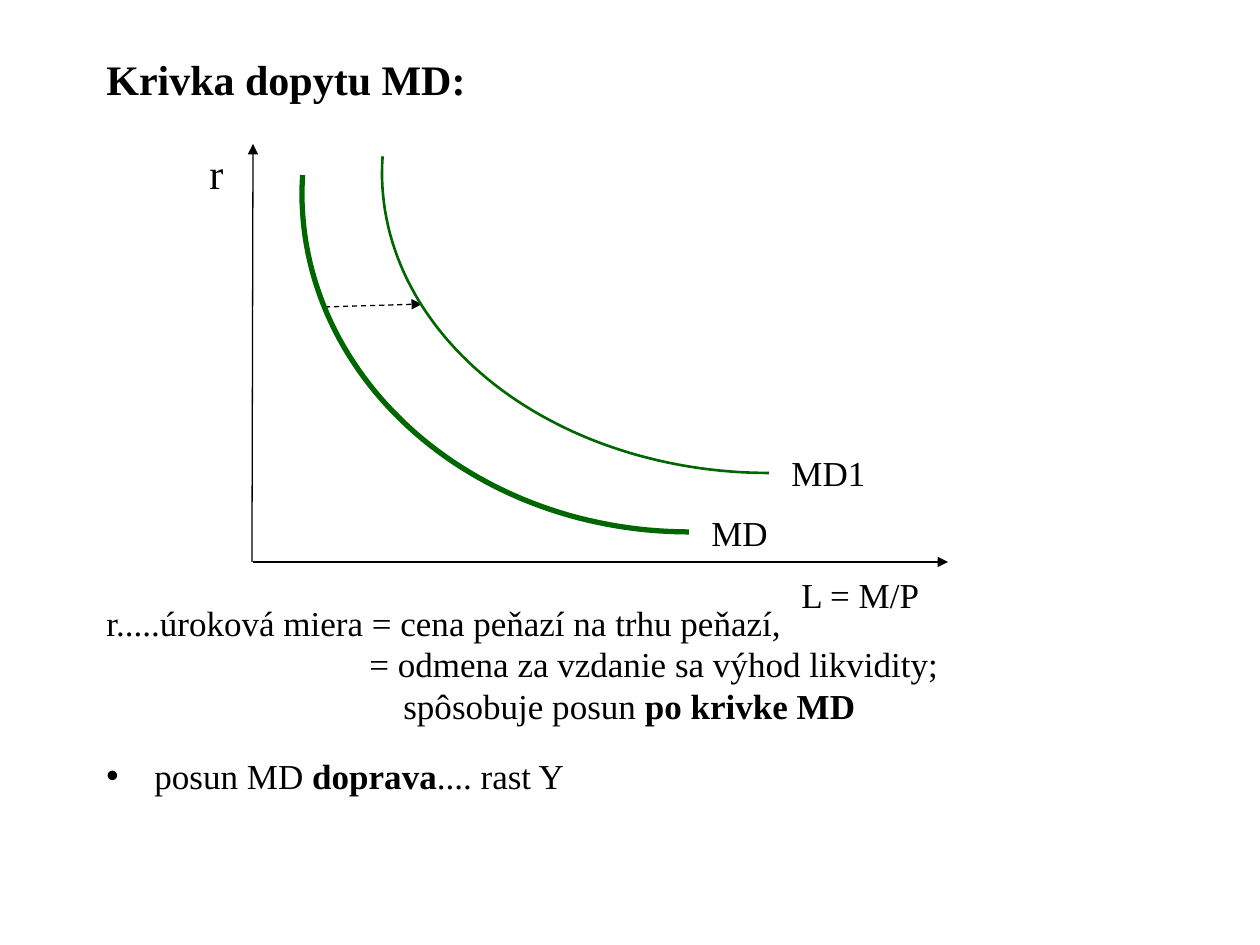
"""Build the slide with the money demand curve and its shift."""
from math import cos, radians, sin

from lxml.etree import SubElement
from pptx import Presentation
from pptx.dml.color import RGBColor
from pptx.enum.dml import MSO_LINE
from pptx.enum.shapes import MSO_CONNECTOR
from pptx.enum.text import MSO_ANCHOR
from pptx.oxml.ns import qn
from pptx.util import Pt

SCALE = 914400 // 126
FONT = "Times New Roman"
COLORS = {"ink": "000000", "curve": "006600"}


def px(n):
    return round(n * SCALE)


def paint(line, color, width):
    line.color.rgb = RGBColor.from_string(COLORS[color])
    line.width = Pt(width)


def style(run, size, bold):
    font = run.font
    font.name, font.size, font.bold = FONT, Pt(size), bold
    font.color.rgb = RGBColor.from_string(COLORS["ink"])


def label(slide, text, box, size=20, bold=False, wrap=False, tight=1.0):
    frame = slide.shapes.add_textbox(*map(px, box)).text_frame
    frame.word_wrap = wrap
    frame.text = text
    para = frame.paragraphs[0]
    para.line_spacing = tight
    style(para.runs[0], size, bold)
    return frame


def arrow(slide, start, end, dash=False):
    link = slide.shapes.add_connector(
        MSO_CONNECTOR.STRAIGHT, *map(px, start + end))
    paint(link.line, "ink", 0.75)
    if dash:
        link.line.dash_style = MSO_LINE.DASH
    SubElement(link.line._get_or_add_ln(), qn("a:tailEnd"), type="triangle")
    SubElement(link._element.spPr, qn("a:effectLst"))


def curve(slide, center, radii, width, steps=62):
    (x, y), (wide, high) = center, radii
    turns = [radians(90 + 93.2 * i / steps) for i in range(steps + 1)]
    points = [(px(x + wide * cos(t)), px(y + high * sin(t))) for t in turns]
    path = slide.shapes.build_freeform(*points[0])
    path.add_line_segments(points[1:], close=False)
    shape = path.convert_to_shape()
    shape.shadow.inherit = False
    shape.fill.background()
    paint(shape.line, "curve", width)


def notes(slide, box, rows):
    frame = slide.shapes.add_textbox(*map(px, box)).text_frame
    frame.word_wrap = True
    for i, (left, gap, bullet, parts) in enumerate(rows):
        para = frame.add_paragraph() if i else frame.paragraphs[0]
        para.line_spacing, para.space_before = 0.8, Pt(gap)
        props = para._p.get_or_add_pPr()
        props.set("marL", str(px(left)))
        if bullet:
            props.set("indent", str(-px(left)))
            SubElement(props, qn("a:buFont"), typeface="Arial")
            SubElement(props, qn("a:buChar"), char=bullet)
        for text, bold in parts:
            run = para.add_run()
            run.text = text
            style(run, 20, bold)


def main():
    deck = Presentation()
    deck.slide_width, deck.slide_height = px(1260), px(945)
    slide = deck.slides.add_slide(deck.slide_layouts[6])

    title = label(slide, "Krivka dopytu MD:", (94, 16, 1071, 126), 24, True, True)
    title.vertical_anchor = MSO_ANCHOR.MIDDLE
    label(slide, "r", (197, 141, 45, 60), 24)

    notes(slide, (94, 603, 1071, 210), [
        (0, 0, "", [("r.....úroková miera = cena peňazí na trhu peňazí,", False)]),
        (263, 4.6, "", [("= odmena za vzdanie sa výhod likvidity;", False)]),
        (297, 4.6, "", [("spôsobuje posun ", False), ("po krivke MD", True)]),
        (48, 21, "•", [("posun MD ", False), ("doprava", True),
                       (".... rast Y", False)]),
    ])

    arrow(slide, (252, 562), (253, 144))
    arrow(slide, (253, 562), (948, 562))
    arrow(slide, (325, 307), (422, 304), dash=True)
    curve(slide, (689, 194), (387, 338), 3)
    curve(slide, (769, 173), (387, 300), 1.5)

    label(slide, "MD", (699, 505, 100, 54))
    label(slide, "MD1", (779, 445, 110, 54))
    label(slide, "L = M/P", (789, 575, 149, 47), tight=0.8)
    deck.save("out.pptx")


main()
